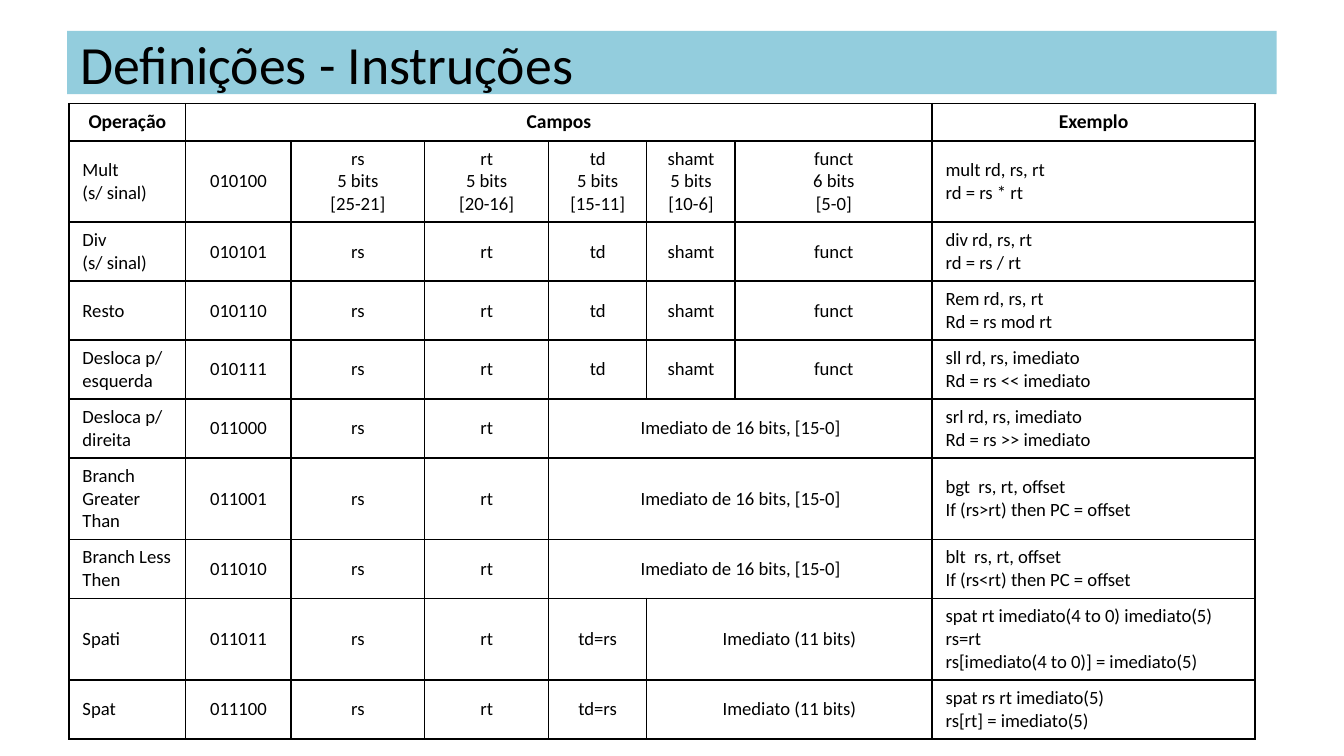
from lxml import etree
from pptx import Presentation
from pptx.dml.color import RGBColor
from pptx.enum import shapes, text
from pptx.oxml import ns
from pptx.util import Pt

BLACK = "000000"
TITLE_BLUE = "93CDDD"
FONT = "Calibri"


def color(hex_string):
    return RGBColor.from_string(hex_string)


def add_borders(cell, width):
    """Draw a solid black line on all four sides of a table cell."""
    properties = cell._tc.get_or_add_tcPr()
    for side in ("lnL", "lnR", "lnT", "lnB"):
        line = etree.SubElement(properties, ns.qn(f"a:{side}"), w=str(width))
        fill = etree.SubElement(line, ns.qn("a:solidFill"))
        etree.SubElement(fill, ns.qn("a:srgbClr"), val=BLACK)


prs = Presentation()
prs.slide_width, prs.slide_height = Pt(720), Pt(405)
slide = prs.slides.add_slide(prs.slide_layouts[6])

# Title band
title = slide.shapes.add_shape(
    shapes.MSO_SHAPE.RECTANGLE, Pt(36), Pt(16.5), Pt(648), Pt(34))
title.shadow.inherit = False
title.fill.solid()
title.fill.fore_color.rgb = color(TITLE_BLUE)
title.line.fill.background()
title.text_frame.text = "Definições - Instruções"
title.text_frame.word_wrap = True
title.text_frame.vertical_anchor = text.MSO_ANCHOR.MIDDLE
heading = title.text_frame.paragraphs[0]
heading.alignment = text.PP_ALIGN.LEFT
heading.runs[0].font.name = FONT
heading.runs[0].font.size = Pt(28.8)
heading.runs[0].font.color.rgb = color(BLACK)

# Instruction table: None continues the field to its left
registers = ["rs", "rt"]
r_fields = registers + ["td", "shamt", "funct"]
immediate_16 = registers + ["Imediato de 16 bits, [15-0]", None, None]
immediate_11 = registers + ["td=rs", "Imediato (11 bits)", None]
bit_ranges = ["5 bits\n[25-21]", "5 bits\n[20-16]", "5 bits\n[15-11]",
              "5 bits\n[10-6]", "6 bits\n[5-0]"]
first_fields = [f"{name}\n{bits}" for name, bits in zip(r_fields, bit_ranges)]

instructions = [
    ("Operação", "Campos", [None] * 5, "Exemplo"),
    ("Mult\n(s/ sinal)", "010100", first_fields, "mult rd, rs, rt\nrd = rs * rt"),
    ("Div\n(s/ sinal)", "010101", r_fields, "div rd, rs, rt\nrd = rs / rt"),
    ("Resto", "010110", r_fields, "Rem rd, rs, rt\nRd = rs mod rt"),
    ("Desloca p/ esquerda", "010111", r_fields,
     "sll rd, rs, imediato\nRd = rs << imediato"),
    ("Desloca p/ direita", "011000", immediate_16,
     "srl rd, rs, imediato\nRd = rs >> imediato"),
    ("Branch Greater Than", "011001", immediate_16,
     "bgt  rs, rt, offset\nIf (rs>rt) then PC = offset"),
    ("Branch Less Then", "011010", immediate_16,
     "blt  rs, rt, offset\nIf (rs<rt) then PC = offset"),
    ("Spati", "011011", immediate_11,
     "spat rt imediato(4 to 0) imediato(5)\nrs=rt\n"
     "rs[imediato(4 to 0)] = imediato(5)"),
    ("Spat", "011100", immediate_11,
     "spat rs rt imediato(5)\nrs[rt] = imediato(5)"),
]
column_widths = [62.5, 56.5, 71.5, 66.5, 52.5, 47.5, 105.5, 173]
two_lines, three_lines = 31.6, 43.6
row_heights = ([19.8, three_lines] + [two_lines] * 4
               + [three_lines, two_lines, three_lines, two_lines])

table = slide.shapes.add_table(
    len(instructions), len(column_widths), Pt(37), Pt(55.5),
    Pt(sum(column_widths)), Pt(sum(row_heights))).table
table.first_row = False
table.horz_banding = False
for column, width in zip(table.columns, column_widths):
    column.width = Pt(width)
for row, height in zip(table.rows, row_heights):
    row.height = Pt(height)

for r, (operation, opcode, fields, example) in enumerate(instructions):
    is_header = r == 0
    contents = [operation, opcode, *fields, example]
    for c, content in enumerate(contents):
        cell = table.cell(r, c)
        add_borders(cell, Pt(1))
        cell.fill.background()
        if content is None:
            continue
        end = c
        while end + 1 < len(contents) and contents[end + 1] is None:
            end += 1
        if end > c:
            cell.merge(table.cell(r, end))
        cell.vertical_anchor = text.MSO_ANCHOR.MIDDLE
        cell.text_frame.text = content
        centered = is_header or 0 < c < len(contents) - 1
        for paragraph in cell.text_frame.paragraphs:
            paragraph.alignment = (
                text.PP_ALIGN.CENTER if centered else text.PP_ALIGN.LEFT)
            font = paragraph.runs[0].font
            font.name = FONT
            font.size = Pt(10.5 if is_header else 10)
            font.bold = is_header
            font.color.rgb = color(BLACK)

prs.save("out.pptx")
